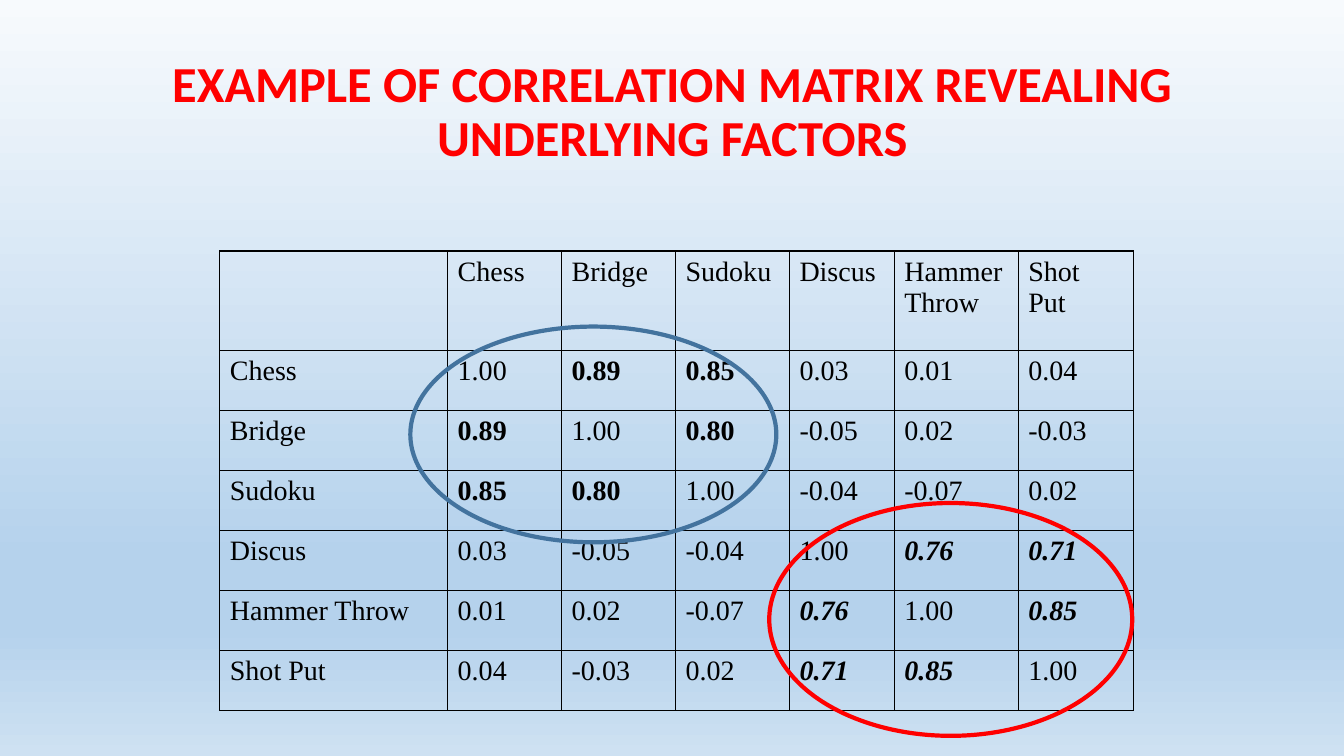
"""Build a slide with a correlation matrix whose two factors are circled."""
from lxml import etree
from pptx import Presentation
from pptx import util as u
from pptx.dml.color import RGBColor
from pptx.enum import shapes, text
from pptx.oxml import ns

COLORS = {"red": "FF0000", "blue": "43739E", "black": "000000",
          "top": "F7FAFD", "middle": "B5D2EC", "bottom": "CEE1F2"}
GRADIENT = [(0, "top"), (74, "middle"), (83, "middle"), (100, "bottom")]
SPORTS_START = 3
NAMES = ["Chess", "Bridge", "Sudoku", "Discus", "Hammer Throw", "Shot Put"]
CORRELATIONS = [
    ["1.00", "0.89", "0.85", "0.03", "0.01", "0.04"],
    ["0.89", "1.00", "0.80", "-0.05", "0.02", "-0.03"],
    ["0.85", "0.80", "1.00", "-0.04", "-0.07", "0.02"],
    ["0.03", "-0.05", "-0.04", "1.00", "0.76", "0.71"],
    ["0.01", "0.02", "-0.07", "0.76", "1.00", "0.85"],
    ["0.04", "-0.03", "0.02", "0.71", "0.85", "1.00"],
]
COLUMN_WIDTHS = [2.26, 1.13, 1.13, 1.13, 1.04, 1.23, 1.14]
ROW_HEIGHTS = [0.99] + [0.595] * 6
FACTORS = [("blue", 4.07, 3.24, 3.63, 2.14), ("red", 7.63, 4.99, 3.6, 2.31)]


def style(span, font, size, color, bold=False, italic=False):
    span.font.name = font
    span.font.size = u.Pt(size)
    span.font.bold = bold
    span.font.italic = italic
    span.font.color.rgb = RGBColor.from_string(COLORS[color])


def add_color(parent, color):
    etree.SubElement(parent, ns.qn("a:srgbClr"), val=COLORS[color])


deck = Presentation()
deck.slide_width, deck.slide_height = u.Inches(13.33), u.Inches(7.5)
page = deck.slides.add_slide(deck.slide_layouts[6])

backdrop = page.background.fill
backdrop.gradient()
backdrop.gradient_angle = 270
stops = next(page.element.iter(ns.qn("a:gsLst")))
for stop in list(stops):
    stops.remove(stop)
for percent, color in GRADIENT:
    add_color(etree.SubElement(stops, ns.qn("a:gs"), pos=str(percent * 1000)), color)

title = page.shapes.add_textbox(u.Inches(0.92), u.Inches(0.4), u.Inches(11.5), u.Inches(1.45))
title.text_frame.word_wrap = True
title.text_frame.vertical_anchor = text.MSO_ANCHOR.MIDDLE
title.text_frame.text = "EXAMPLE OF CORRELATION MATRIX REVEALING UNDERLYING FACTORS"
para = title.text_frame.paragraphs[0]
para.alignment = text.PP_ALIGN.CENTER
para.line_spacing = 0.9
style(para.runs[0], "Calibri", 36, "red", bold=True)

matrix = page.shapes.add_table(7, 7, u.Inches(2.18), u.Inches(2.49),
                               u.Inches(9.06), u.Inches(4.56)).table
matrix.first_row = matrix.horz_banding = False
for column, width in zip(matrix.columns, COLUMN_WIDTHS):
    column.width = u.Inches(width)
for row, height in zip(matrix.rows, ROW_HEIGHTS):
    row.height = u.Inches(height)

grid = [[""] + NAMES] + [[name] + values for name, values in zip(NAMES, CORRELATIONS)]
for r, values in enumerate(grid):
    for c, value in enumerate(values):
        cell = matrix.cell(r, c)
        cell.text_frame.text = value
        same_factor = (r > SPORTS_START) == (c > SPORTS_START)
        strong = r > 0 and c > 0 and r != c and same_factor
        for span in cell.text_frame.paragraphs[0].runs:
            style(span, "Times New Roman", 20, "black", strong, strong and r > SPORTS_START)
        properties = cell._tc.get_or_add_tcPr()
        for side in ("lnL", "lnR", "lnT", "lnB"):
            border = etree.SubElement(properties, ns.qn("a:" + side), w=str(u.Pt(1)))
            add_color(etree.SubElement(border, ns.qn("a:solidFill")), "black")
        cell.fill.background()

for color, left, top, width, height in FACTORS:
    ring = page.shapes.add_shape(shapes.MSO_SHAPE.OVAL, u.Inches(left), u.Inches(top),
                                 u.Inches(width), u.Inches(height))
    ring.shadow.inherit = False
    ring.fill.background()
    ring.line.color.rgb = RGBColor.from_string(COLORS[color])
    ring.line.width = u.Pt(3)

deck.save("out.pptx")
